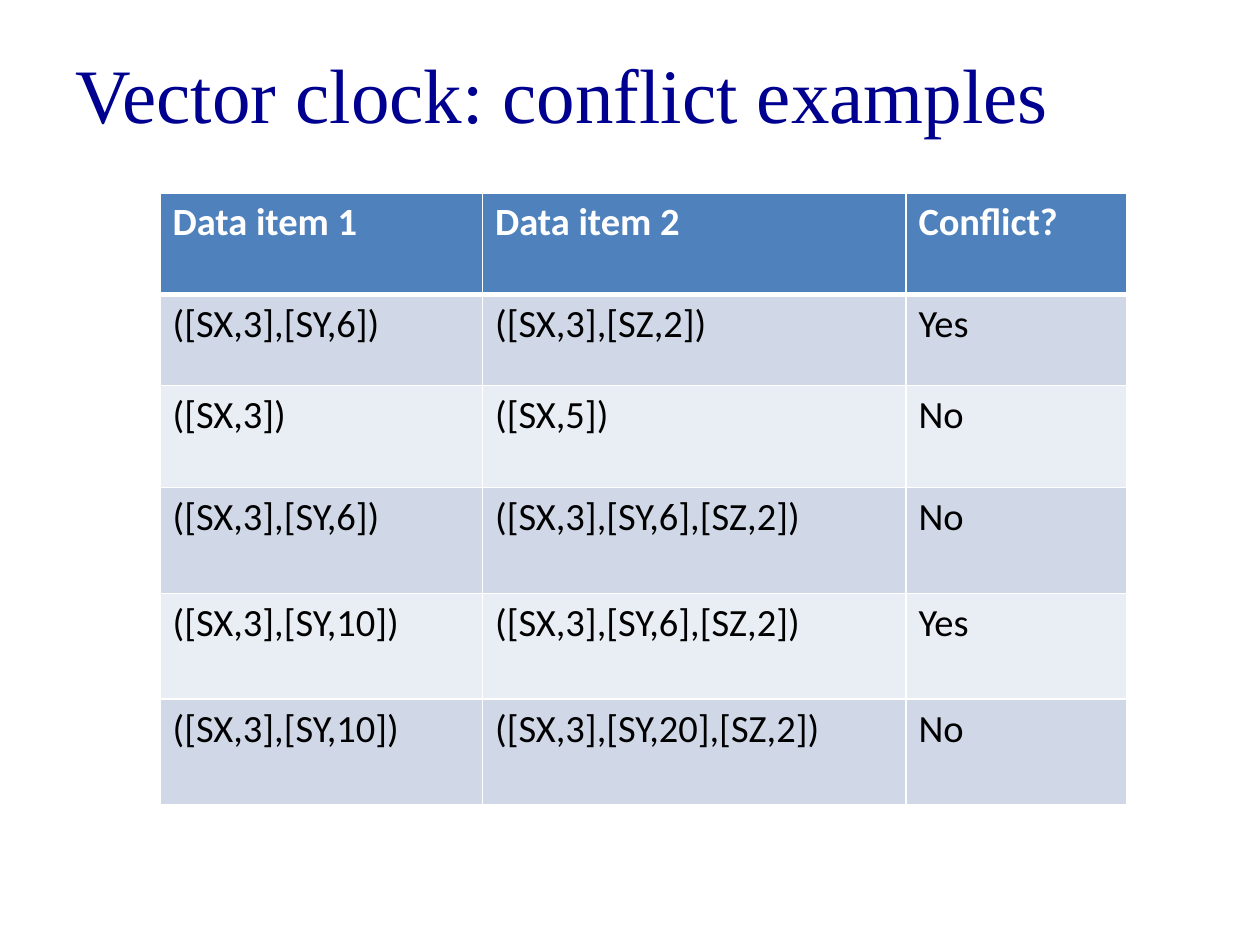
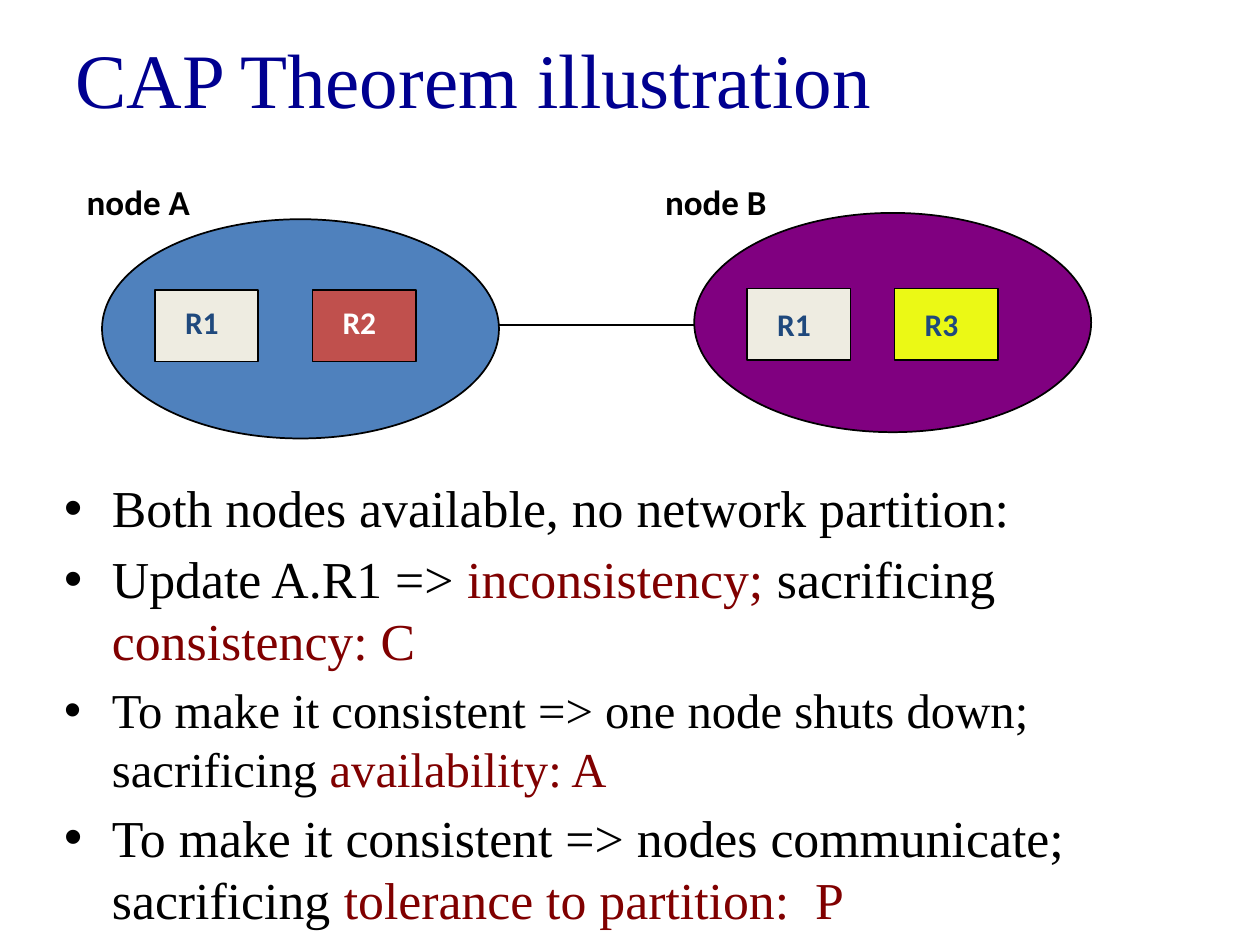
from lxml import etree
from pptx import Presentation
from pptx.dml.color import RGBColor
from pptx.enum.shapes import MSO_CONNECTOR, MSO_SHAPE
from pptx.enum.text import MSO_ANCHOR, PP_ALIGN
from pptx.oxml import parse_xml
from pptx.oxml.ns import nsdecls, qn
from pptx.util import Inches, Pt

LEFT = PP_ALIGN.LEFT
MIDDLE = MSO_ANCHOR.MIDDLE
OVAL = MSO_SHAPE.OVAL
RECTANGLE = MSO_SHAPE.RECTANGLE
STRAIGHT = MSO_CONNECTOR.STRAIGHT

SERIF = "Times New Roman"
SANS = "Calibri"
NAVY = "000090"
BLACK = "000000"
WHITE = "FFFFFF"
BLUE = "4F81BD"
MAROON = "800000"
PURPLE = "800080"
RED = "C0504D"
YELLOW = "EBF915"
CREAM = "EEECE1"
DARK_BLUE = "1F497D"
BANDS = ["E9EDF4", "D0D8E8"]


def style_font(font, face, size, color, bold=False):
    font.name = face
    font.size = Pt(size)
    font.bold = bold
    font.color.rgb = RGBColor.from_string(color)


def add_figure(slide, preset, left, top, width, height, color):
    figure = slide.shapes.add_shape(preset, Inches(left), Inches(top), Inches(width), Inches(height))
    figure.shadow.inherit = False
    figure.fill.solid()
    figure.fill.fore_color.rgb = RGBColor.from_string(color)
    figure.line.color.rgb = RGBColor.from_string(BLACK)
    figure.line.width = Pt(1)


deck = Presentation()
deck.slide_width = Inches(10)
deck.slide_height = Inches(7.5)

slides = []
for heading, heading_height in [("Vector clock: conflict examples", 1.25), ("CAP Theorem illustration", 1.02)]:
    slide = deck.slides.add_slide(deck.slide_layouts[5])
    title = slide.shapes.title
    title.left, title.top = Inches(0.5), Inches(0.11)
    title.width, title.height = Inches(9), Inches(heading_height)
    title.text_frame.text = heading
    title.text_frame.vertical_anchor = MIDDLE
    title.text_frame.paragraphs[0].alignment = LEFT
    style_font(title.text_frame.paragraphs[0].font, SERIF, 44, NAVY)
    slides.append(slide)
clock_slide, cap_slide = slides

examples = [
    ("Data item 1", "Data item 2", "Conflict?"),
    ("([SX,3],[SY,6])", "([SX,3],[SZ,2])", "Yes"),
    ("([SX,3])", "([SX,5])", "No"),
    ("([SX,3],[SY,6])", "([SX,3],[SY,6],[SZ,2])", "No"),
    ("([SX,3],[SY,10])", "([SX,3],[SY,6],[SZ,2])", "Yes"),
    ("([SX,3],[SY,10])", "([SX,3],[SY,20],[SZ,2])", "No"),
]
conflicts = clock_slide.shapes.add_table(
    len(examples), 3, Inches(1.27), Inches(1.53), Inches(7.67), Inches(4.86)
).table
for column, width in zip(conflicts.columns, [2.56, 3.36, 1.75]):
    column.width = Inches(width)
for row, height in zip(conflicts.rows, [0.81, 0.72, 0.81, 0.84, 0.84, 0.84]):
    row.height = Inches(height)

for row_index, example in enumerate(examples):
    is_header = row_index == 0
    for column_index, entry in enumerate(example):
        cell = conflicts.cell(row_index, column_index)
        cell.text = entry
        style_font(cell.text_frame.paragraphs[0].font, SANS, 22, WHITE if is_header else BLACK, is_header)
        properties = cell._tc.get_or_add_tcPr()
        for side in ["lnL", "lnR", "lnT", "lnB"]:
            is_heavy = (row_index, side) in [(0, "lnB"), (1, "lnT")]
            properties.append(parse_xml(
                f'<a:{side} {nsdecls("a")} w="{Pt(3 if is_heavy else 1)}"><a:solidFill>'
                f'<a:srgbClr val="{WHITE}"/></a:solidFill></a:{side}>'
            ))
        cell.fill.solid()
        cell.fill.fore_color.rgb = RGBColor.from_string(BLUE if is_header else BANDS[row_index % 2])

points = [
    (29.6, [("Both nodes available, no network partition:", BLACK)]),
    (29.6, [("Update A.R1 => ", BLACK), ("inconsistency; ", MAROON),
            ("sacrificing", BLACK), (" consistency: C", MAROON)]),
    (27.8, [("To make it consistent => one node shuts down; sacrificing ", BLACK),
            ("availability: A", MAROON)]),
    (29.6, [("To make it consistent => nodes communicate; sacrificing ", BLACK),
            ("tolerance to partition:  P", MAROON)]),
]
tradeoffs = cap_slide.shapes.add_textbox(Inches(0.41), Inches(3.73), Inches(9.22), Inches(3.37)).text_frame
tradeoffs.word_wrap = True
for index, (size, phrases) in enumerate(points):
    point = tradeoffs.add_paragraph() if index else tradeoffs.paragraphs[0]
    point.line_spacing = 1.0
    point.space_before = Pt(5)
    point.font.size = Pt(size)
    indent = point._p.get_or_add_pPr()
    indent.set("marL", str(Inches(0.38)))
    indent.set("indent", str(-Inches(0.38)))
    bullet_font = parse_xml(f'<a:buFont {nsdecls("a")} typeface="Arial"/>')
    bullet = parse_xml(f'<a:buChar {nsdecls("a")} char="•"/>')
    indent.find(qn("a:spcBef")).addnext(bullet_font)
    bullet_font.addnext(bullet)
    for phrase, color in phrases:
        run = point.add_run()
        run.text = phrase
        style_font(run.font, SERIF, size, color)

nodes = [
    ("node A", 0.59, 0.81, 1.74, BLUE, 2.3, 2.36,
     [("R1", 1.23, CREAM, DARK_BLUE), ("R2", 2.48, RED, WHITE)]),
    ("node B", 5.18, 5.51, 1.69, PURPLE, 2.29, 2.37,
     [("R1", 5.93, CREAM, DARK_BLUE), ("R3", 7.1, YELLOW, DARK_BLUE)]),
]
for node, node_left, oval_left, oval_top, node_color, replica_top, label_top, replicas in nodes:
    add_figure(cap_slide, OVAL, oval_left, oval_top, 3.15, 1.74, node_color)
    labels = [(node, node_left, 1.38, 1.03, 0.44, 20, BLACK)]
    for replica, replica_left, replica_color, label_color in replicas:
        add_figure(cap_slide, RECTANGLE, replica_left, replica_top, 0.82, 0.57, replica_color)
        labels.append((replica, replica_left + 0.14, label_top, 0.61, 0.5, 18, label_color))
    for label, left, top, width, height, size, color in labels:
        caption = cap_slide.shapes.add_textbox(Inches(left), Inches(top), Inches(width), Inches(height))
        caption.text_frame.text = label
        caption.text_frame.word_wrap = False
        style_font(caption.text_frame.paragraphs[0].font, SANS, size, color, True)

network = cap_slide.shapes.add_connector(STRAIGHT, Inches(3.96), Inches(2.58), Inches(5.51), Inches(2.58))
network.line.color.rgb = RGBColor.from_string(BLACK)
network.line.width = Pt(1)
etree.SubElement(network._element.spPr, qn("a:effectLst"))

deck.save("out.pptx")
